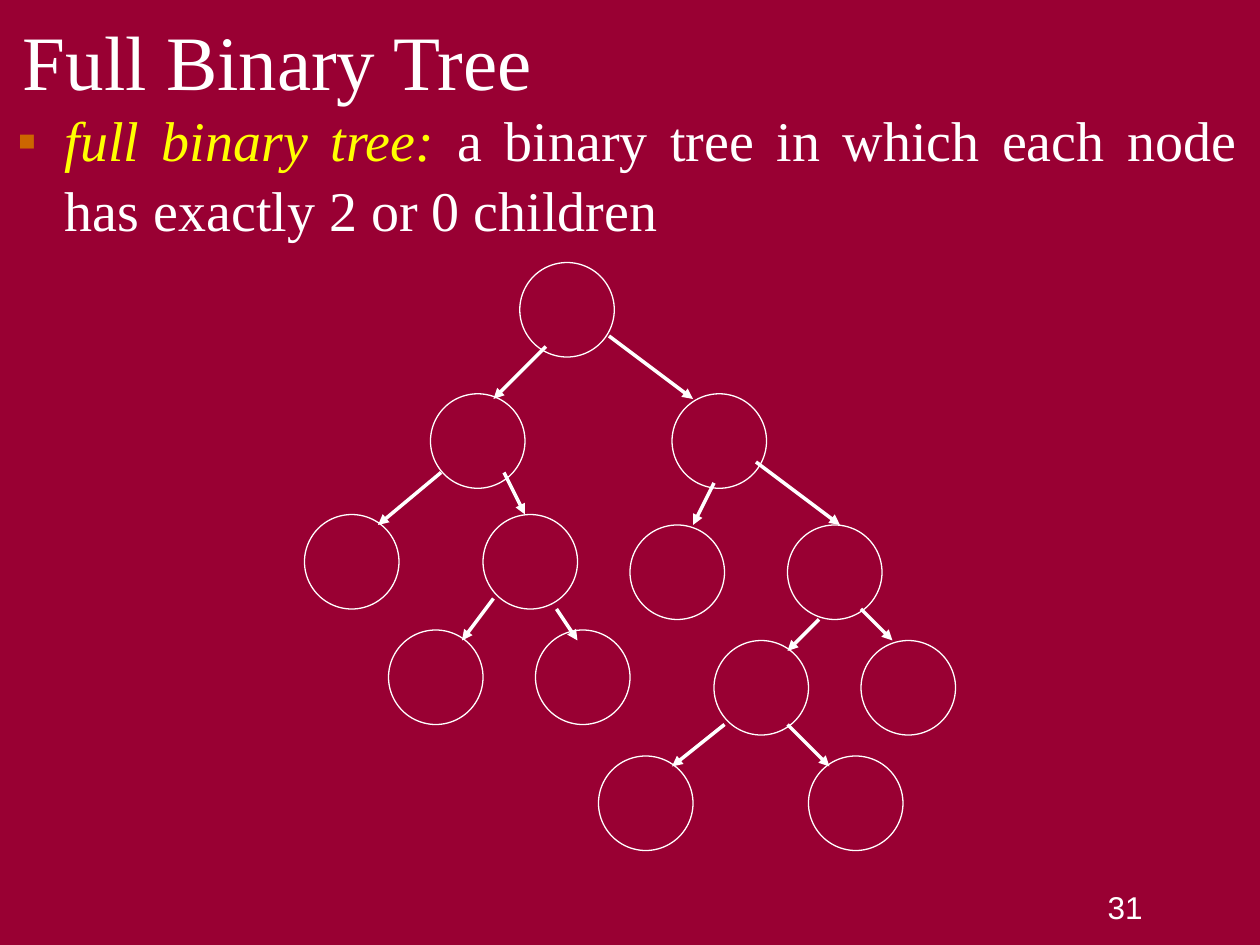
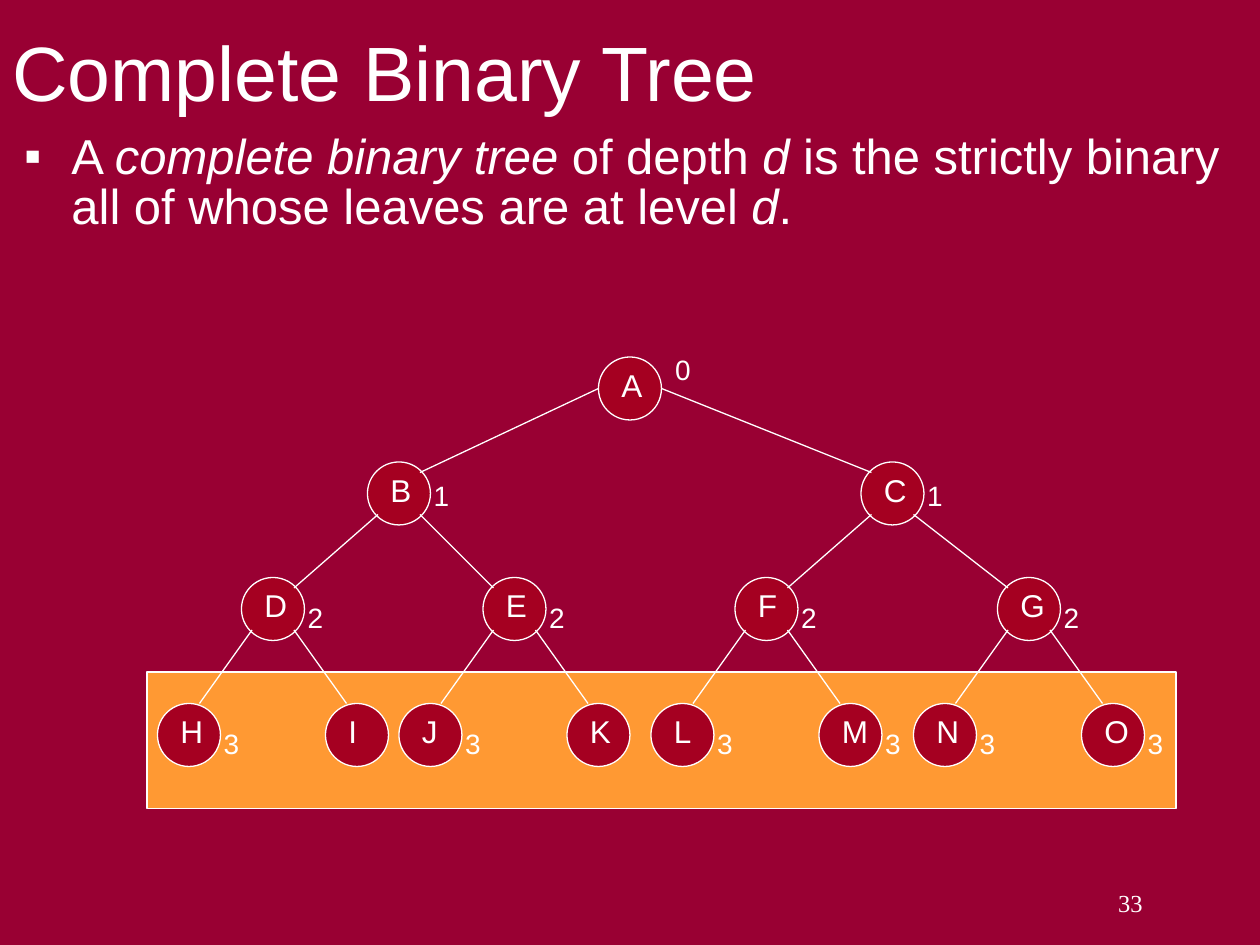
from typing import NamedTuple

from lxml.etree import SubElement
from pptx import Presentation
from pptx.dml.color import RGBColor
from pptx.enum.shapes import MSO_CONNECTOR, MSO_SHAPE
from pptx.enum.text import MSO_ANCHOR, PP_ALIGN
from pptx.oxml.ns import qn
from pptx.slide import Slide
from pptx.util import Emu, Pt

EMU_PER_PX = 9525
WINE = RGBColor(0x99, 0x00, 0x33)
WHITE = RGBColor(0xFF, 0xFF, 0xFF)
YELLOW = RGBColor(0xFF, 0xFF, 0x00)
RUST = RGBColor(0xCC, 0x66, 0x00)
ORANGE = RGBColor(0xFF, 0x99, 0x33)
CRIMSON = RGBColor(0xA5, 0x00, 0x21)
SERIF, SANS = "Times New Roman", "Arial"
LEFT, RIGHT, JUSTIFY = PP_ALIGN.LEFT, PP_ALIGN.RIGHT, PP_ALIGN.JUSTIFY


class Box(NamedTuple):
    left: int
    top: int
    width: int
    height: int


class Edge(NamedTuple):
    x1: int
    y1: int
    x2: int
    y2: int


class Span(NamedTuple):
    text: str
    italic: bool = False
    color: RGBColor = WHITE


class Style(NamedTuple):
    font: str
    size: int
    align: PP_ALIGN = LEFT
    anchor: MSO_ANCHOR = MSO_ANCHOR.TOP
    wrap: bool = True
    spacing: float = 1.0
    bullet: RGBColor | None = None


NUMBER_BOX = Box(680, 672, 200, 48)
NODE_LETTER = Style(SANS, 18)
DEPTH_LABEL = Style(SANS, 16, wrap=False)

FULL_NODE_SIZE = 72
FULL_NODES = [
    (396, 200),
    (328, 300), (512, 300),
    (232, 392), (368, 392), (480, 400), (600, 400),
    (296, 480), (408, 480), (544, 488), (656, 488),
    (456, 576), (616, 576),
]
FULL_EDGES = [
    Edge(416, 264, 376, 304), Edge(464, 256, 528, 304),
    Edge(336, 360, 288, 400), Edge(384, 360, 400, 392),
    Edge(544, 368, 528, 400), Edge(576, 352, 640, 400),
    Edge(376, 456, 352, 488), Edge(424, 464, 440, 488),
    Edge(624, 472, 600, 496), Edge(656, 464, 680, 488),
    Edge(552, 552, 512, 584), Edge(600, 552, 632, 584),
]

NODE_SIZE = 48
LEAF_SPREAD = 64
LEVEL_TOPS = [272, 352, 440, 536]
INNER_LEFTS = [[456], [280, 656], [184, 368, 560, 760]]
LEAF_LEFTS = [left + side for left in INNER_LEFTS[-1]
              for side in (-LEAF_SPREAD, LEAF_SPREAD)]
LEVEL_LEFTS = INNER_LEFTS + [LEAF_LEFTS]
LETTERS = "ABCDEFGHIJKLMNO"
UNNUMBERED = "IK"
DEPTH_OFFSETS = [(49, -8), (41, 8), (41, 13), (41, 13)]
# Where an edge leaves a parent and meets a left child, per parent level
EXITS = [(0, 24), (8, 40), (8, 40)]
ENTRIES = [(40, 8), (40, 8), (32, 0)]


def px(value: int) -> Emu:
    return Emu(value * EMU_PER_PX)


def add_text(slide: Slide, box: Box, style: Style, *spans: Span) -> None:
    frame = slide.shapes.add_textbox(*map(px, box)).text_frame
    frame.word_wrap = style.wrap
    frame.vertical_anchor = style.anchor
    paragraph = frame.paragraphs[0]
    paragraph.alignment = style.align
    paragraph.line_spacing = style.spacing
    if style.bullet is not None:
        add_bullet(paragraph, style.bullet)
    for span in spans:
        run = paragraph.add_run()
        run.text = span.text
        run.font.name = style.font
        run.font.size = Pt(style.size)
        run.font.italic = span.italic
        run.font.color.rgb = span.color


def add_bullet(paragraph, color: RGBColor) -> None:
    properties = paragraph._p.get_or_add_pPr()
    properties.set("marL", str(px(36)))
    properties.set("indent", str(-px(36)))
    bullet_color = SubElement(properties, qn("a:buClr"))
    SubElement(bullet_color, qn("a:srgbClr"), val=str(color))
    SubElement(properties, qn("a:buFont"), typeface=SANS)
    SubElement(properties, qn("a:buChar"), char="▪")


def add_outlined(slide: Slide, kind: MSO_SHAPE, box: Box,
                 fill: RGBColor | None = None) -> None:
    """Draw a white-edged shape, hollow when no fill is given."""
    shape = slide.shapes.add_shape(kind, *map(px, box))
    shape.shadow.inherit = False
    shape.line.color.rgb = WHITE
    shape.line.width = Pt(0.75)
    if fill is None:
        shape.fill.background()
    else:
        shape.fill.solid()
        shape.fill.fore_color.rgb = fill


def add_edge(slide: Slide, edge: Edge, width: float, arrow: bool = False) -> None:
    connector = slide.shapes.add_connector(MSO_CONNECTOR.STRAIGHT, *map(px, edge))
    connector.line.color.rgb = WHITE
    connector.line.width = Pt(width)
    if arrow:
        SubElement(connector.line._get_or_add_ln(), qn("a:tailEnd"), type="triangle")
    SubElement(connector._element.spPr, qn("a:effectLst"))


def add_tree_slide(deck: Presentation, title: str, title_box: Box, font: str,
                   number: str, number_style: Style) -> Slide:
    """Add a slide with the shared background, title and page number."""
    slide = deck.slides.add_slide(deck.slide_layouts[6])
    slide.background.fill.solid()
    slide.background.fill.fore_color.rgb = WINE
    add_text(slide, NUMBER_BOX, number_style, Span(number))
    add_text(slide, title_box, Style(font, 44, anchor=MSO_ANCHOR.MIDDLE), Span(title))
    return slide


def build_full_tree(deck: Presentation) -> None:
    slide = add_tree_slide(deck, "Full Binary Tree", Box(8, 9, 408, 73), SERIF,
                           "31", Style(SANS, 18, RIGHT))
    add_text(slide, Box(4, 74, 948, 432),
             Style(SERIF, 32, JUSTIFY, spacing=1.04, bullet=RUST),
             Span("full binary tree: ", True, YELLOW),
             Span("a binary tree in which each node has exactly 2 or 0 children"))
    for left, top in FULL_NODES:
        add_outlined(slide, MSO_SHAPE.OVAL,
                     Box(left, top, FULL_NODE_SIZE, FULL_NODE_SIZE))
    for edge in FULL_EDGES:
        add_edge(slide, edge, 2, arrow=True)


def add_lettered_node(slide: Slide, letter: str, level: int, left: int) -> None:
    top = LEVEL_TOPS[level]
    add_outlined(slide, MSO_SHAPE.OVAL, Box(left, top, NODE_SIZE, NODE_SIZE), CRIMSON)
    add_text(slide, Box(left + 8, top + 2, 40, 38), NODE_LETTER, Span(letter))
    if letter not in UNNUMBERED:
        dx, dy = DEPTH_OFFSETS[level]
        add_text(slide, Box(left + dx, top + dy, 31, 35), DEPTH_LABEL,
                 Span(str(level)))


def add_child_edges(slide: Slide, level: int, position: int) -> None:
    """Join a node to its two children; the right edge mirrors the left."""
    parent = LEVEL_LEFTS[level][position]
    (exit_x, exit_y), (entry_x, entry_y) = EXITS[level], ENTRIES[level]
    start_y = LEVEL_TOPS[level] + exit_y
    end_y = LEVEL_TOPS[level + 1] + entry_y
    left_child, right_child = LEVEL_LEFTS[level + 1][2 * position:2 * position + 2]
    add_edge(slide, Edge(parent + exit_x, start_y, left_child + entry_x, end_y), 0.75)
    add_edge(slide, Edge(parent + NODE_SIZE - exit_x, start_y,
                         right_child + NODE_SIZE - entry_x, end_y), 0.75)


def build_complete_tree(deck: Presentation) -> None:
    slide = add_tree_slide(deck, "Complete Binary Tree", Box(0, 6, 601, 96), SANS,
                           "33", Style(SERIF, 14, RIGHT))
    add_text(slide, Box(9, 98, 951, 88),
             Style(SANS, 28, spacing=0.85, bullet=WHITE),
             Span("A "), Span("complete binary tree", True), Span(" of depth "),
             Span("d", True),
             Span(" is the strictly binary all of whose leaves are at level "),
             Span("d", True), Span("."))
    add_outlined(slide, MSO_SHAPE.RECTANGLE, Box(112, 512, 784, 104), ORANGE)
    letters = iter(LETTERS)
    for level, lefts in enumerate(LEVEL_LEFTS):
        for left in lefts:
            add_lettered_node(slide, next(letters), level, left)
    for level, lefts in enumerate(INNER_LEFTS):
        for position in range(len(lefts)):
            add_child_edges(slide, level, position)


def main() -> None:
    deck = Presentation()
    deck.slide_width, deck.slide_height = px(960), px(720)
    build_full_tree(deck)
    build_complete_tree(deck)
    deck.save("out.pptx")


if __name__ == "__main__":
    main()
